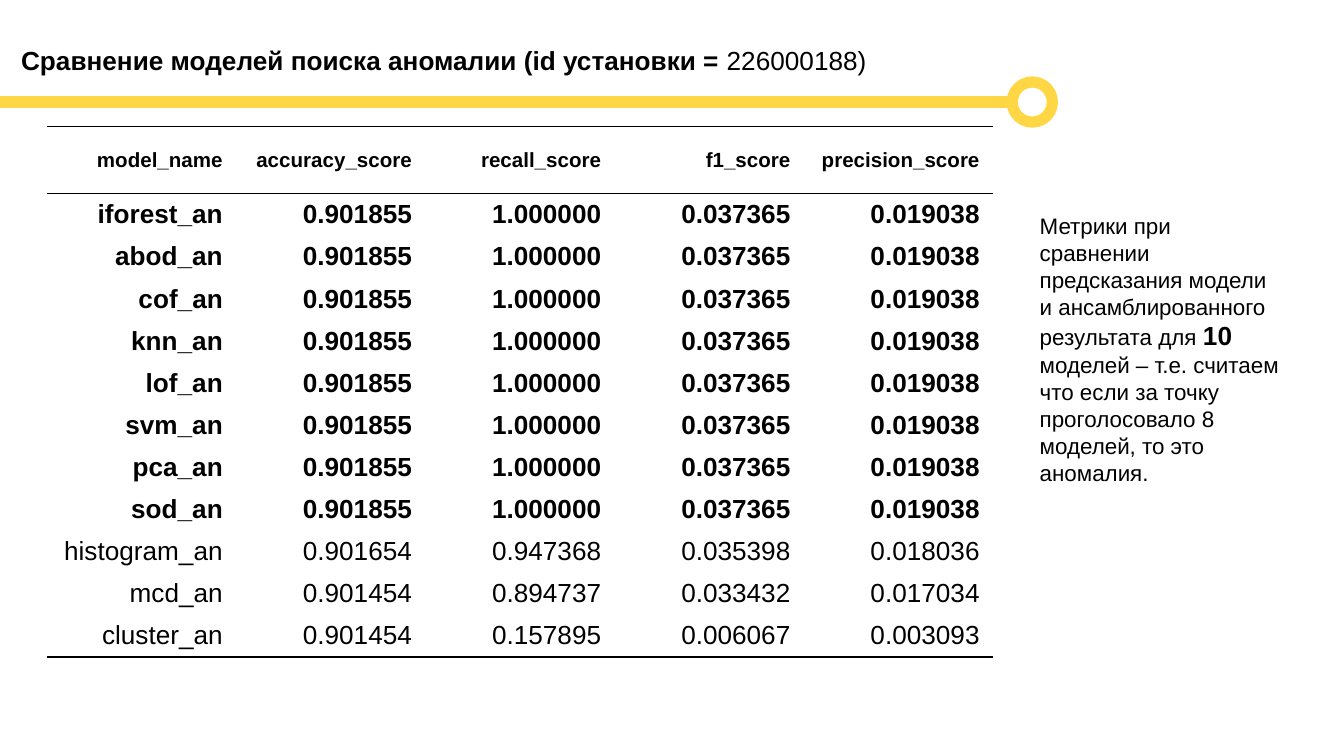
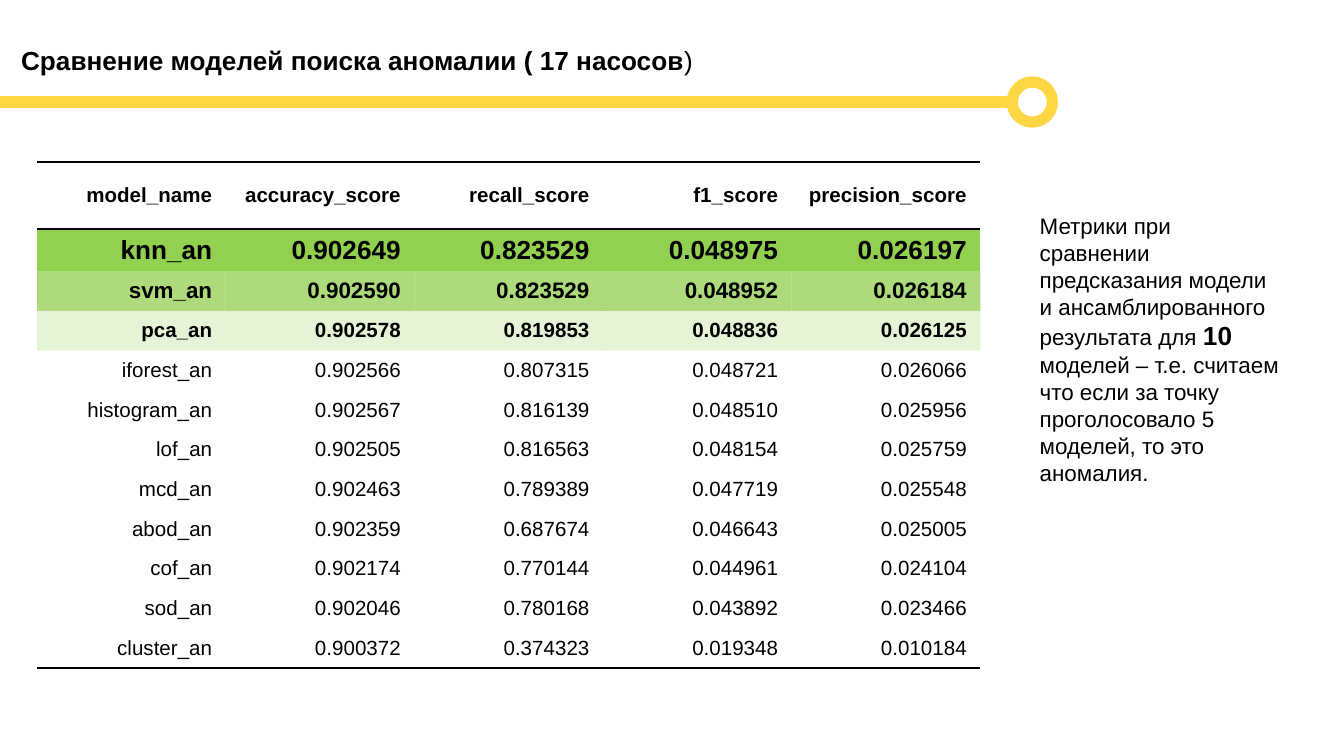
import lxml.etree
import pptx
import pptx.dml.color
import pptx.enum.shapes
import pptx.enum.text
import pptx.oxml.ns
import pptx.util

Cm, Pt = pptx.util.Cm, pptx.util.Pt
qn = pptx.oxml.ns.qn

COLORS = {"text": "000000", "accent": "FFD745", "paper": "FFFFFF", "best": "92D050"}
FONT = "Arial"
PLAIN_TABLE = "{2D5ABB26-0587-4C30-8999-92F81FD0307C}"
HEADER = ["model_name", "accuracy_score", "recall_score", "f1_score", "precision_score"]
TOP_OPACITY = [100, 75, 23]

TIED_MODELS = ["iforest_an", "abod_an", "cof_an", "knn_an", "lof_an", "svm_an", "pca_an", "sod_an"]
TIED_SCORES = ["0.901855", "1.000000", "0.037365", "0.019038"]
UNIT_SCORES = [[name, *TIED_SCORES] for name in TIED_MODELS] + [
    ["histogram_an", "0.901654", "0.947368", "0.035398", "0.018036"],
    ["mcd_an", "0.901454", "0.894737", "0.033432", "0.017034"],
    ["cluster_an", "0.901454", "0.157895", "0.006067", "0.003093"],
]
PUMP_SCORES = [
    ["knn_an", "0.902649", "0.823529", "0.048975", "0.026197"],
    ["svm_an", "0.902590", "0.823529", "0.048952", "0.026184"],
    ["pca_an", "0.902578", "0.819853", "0.048836", "0.026125"],
    ["iforest_an", "0.902566", "0.807315", "0.048721", "0.026066"],
    ["histogram_an", "0.902567", "0.816139", "0.048510", "0.025956"],
    ["lof_an", "0.902505", "0.816563", "0.048154", "0.025759"],
    ["mcd_an", "0.902463", "0.789389", "0.047719", "0.025548"],
    ["abod_an", "0.902359", "0.687674", "0.046643", "0.025005"],
    ["cof_an", "0.902174", "0.770144", "0.044961", "0.024104"],
    ["sod_an", "0.902046", "0.780168", "0.043892", "0.023466"],
    ["cluster_an", "0.900372", "0.374323", "0.019348", "0.010184"],
]


def rgb(name):
    return pptx.dml.color.RGBColor.from_string(COLORS[name])


class Deck:
    """Holds the presentation, its style and the current slide."""

    def __init__(self):
        self.prs = pptx.Presentation()
        self.prs.slide_width, self.prs.slide_height = Cm(25.4), Cm(14.29)
        self.s = None

    def slide(self):
        self.s = self.prs.slides.add_slide(self.prs.slide_layouts[6])

    def run(self, p, text, size, bold):
        r = p.add_run()
        r.text = text
        for key, value in {"name": FONT, "size": Pt(size), "bold": bold}.items():
            setattr(r.font, key, value)
        r.font.color.rgb = rgb("text")

    def text(self, box, runs, auto_size=pptx.enum.text.MSO_AUTO_SIZE.NONE):
        tf = self.s.shapes.add_textbox(*map(Cm, box)).text_frame
        for key, value in {"word_wrap": True, "auto_size": auto_size}.items():
            setattr(tf, key, value)
        for text, size, bold in runs:
            self.run(tf.paragraphs[0], text, size, bold)

    def title(self, bold_part, plain_part):
        self.text((0.15, 0.71, 21.29, 1.02), [(bold_part, 14, True), (plain_part, 14, False)])

    def stroke(self, sp):
        sp.line.color.rgb = rgb("accent")
        sp.line.width = Pt(6)

    def rule(self):
        shapes = self.s.shapes
        line = shapes.add_connector(
            pptx.enum.shapes.MSO_CONNECTOR.STRAIGHT, Cm(-0.08), Cm(1.93), Cm(19.13), Cm(1.93))
        self.stroke(line)
        lxml.etree.SubElement(line._element.spPr, qn("a:effectLst"))
        ring = shapes.add_shape(
            pptx.enum.shapes.MSO_SHAPE.OVAL, Cm(19.13), Cm(1.55), Cm(0.76), Cm(0.76))
        ring.shadow.inherit = False
        ring.fill.background()
        self.stroke(ring)

    def border(self, cell, side):
        ln = lxml.etree.SubElement(cell._tc.get_or_add_tcPr(), qn("a:ln" + side), w=str(Pt(1)))
        fill = lxml.etree.SubElement(ln, qn("a:solidFill"))
        lxml.etree.SubElement(fill, qn("a:srgbClr"), val=COLORS["text"])

    def fill(self, cell, color, opacity):
        cell.fill.solid()
        cell.fill.fore_color.rgb = rgb(color)
        if opacity < 100:
            clr = cell._tc.tcPr.find(".//" + qn("a:solidFill") + "/" + qn("a:srgbClr"))
            if cell._tc.tcPr.find(qn("a:solidFill")) is not None:
                clr = cell._tc.tcPr.find(qn("a:solidFill"))[0]
            lxml.etree.SubElement(clr, qn("a:alpha"), val=str(opacity * 1000))

    def cell(self, cell, text, size, bold, sides):
        fmt = {"vertical_anchor": pptx.enum.text.MSO_ANCHOR.MIDDLE,
               "margin_top": Cm(0.12), "margin_bottom": Cm(0.12)}
        for key, value in fmt.items():
            setattr(cell, key, value)
        p = cell.text_frame.paragraphs[0]
        p.alignment = pptx.enum.text.PP_ALIGN.RIGHT
        self.run(p, text, size, bold)
        for side in sides:
            self.border(cell, side)

    def table(self, box, scores, sizes, bold_rows, top_color):
        rows = [HEADER] + scores
        frame = self.s.shapes.add_table(len(rows), len(HEADER), *map(Cm, box))
        tbl = frame.table
        tbl.first_row = tbl.horz_banding = False
        tbl._tbl.tblPr.find(qn("a:tableStyleId")).text = PLAIN_TABLE
        for i, row in enumerate(rows):
            tbl.rows[i].height = Cm(0.75 if i else 1.27)
            sides = "" if i else "TB"
            if i == len(scores):
                sides = "B"
            for j, value in enumerate(row):
                cell = tbl.cell(i, j)
                self.cell(cell, value, sizes[i], i <= bold_rows, sides)
                if i == 0:
                    cell.fill.background()
                elif i <= len(TOP_OPACITY):
                    self.fill(cell, top_color, TOP_OPACITY[i - 1])
                else:
                    self.fill(cell, "paper", 100)
        frame.height = Cm(box[3])

    def note(self, votes):
        self.text((19.4, 3.89, 5.1, 5.5), [
            ("Метрики при сравнении предсказания модели и ансамблированного результата для ", 12, False),
            ("10", 14, True),
            (f" моделей – т.е. считаем что если за точку проголосовало {votes} моделей, то это аномалия.", 12, False),
        ], pptx.enum.text.MSO_AUTO_SIZE.SHAPE_TO_FIT_TEXT)

    def comparison(self, title, votes, **table):
        self.slide()
        self.title(*title)
        self.rule()
        self.table(**table)
        self.note(votes)


def main():
    deck = Deck()
    deck.comparison(
        ("Сравнение моделей поиска аномалии (id установки = ", "226000188)"), 8,
        box=(0.89, 2.39, 17.88, 10.59), scores=UNIT_SCORES,
        sizes=[11] + [14] * 11, bold_rows=8, top_color="paper")
    deck.comparison(
        ("Сравнение моделей поиска аномалии ( 17 насосов", ")"), 5,
        box=(0.7, 3.06, 17.83, 9.63), scores=PUMP_SCORES,
        sizes=[11, 14, 12] + [11] * 9, bold_rows=3, top_color="best")
    deck.prs.save("out.pptx")


if __name__ == "__main__":
    main()
